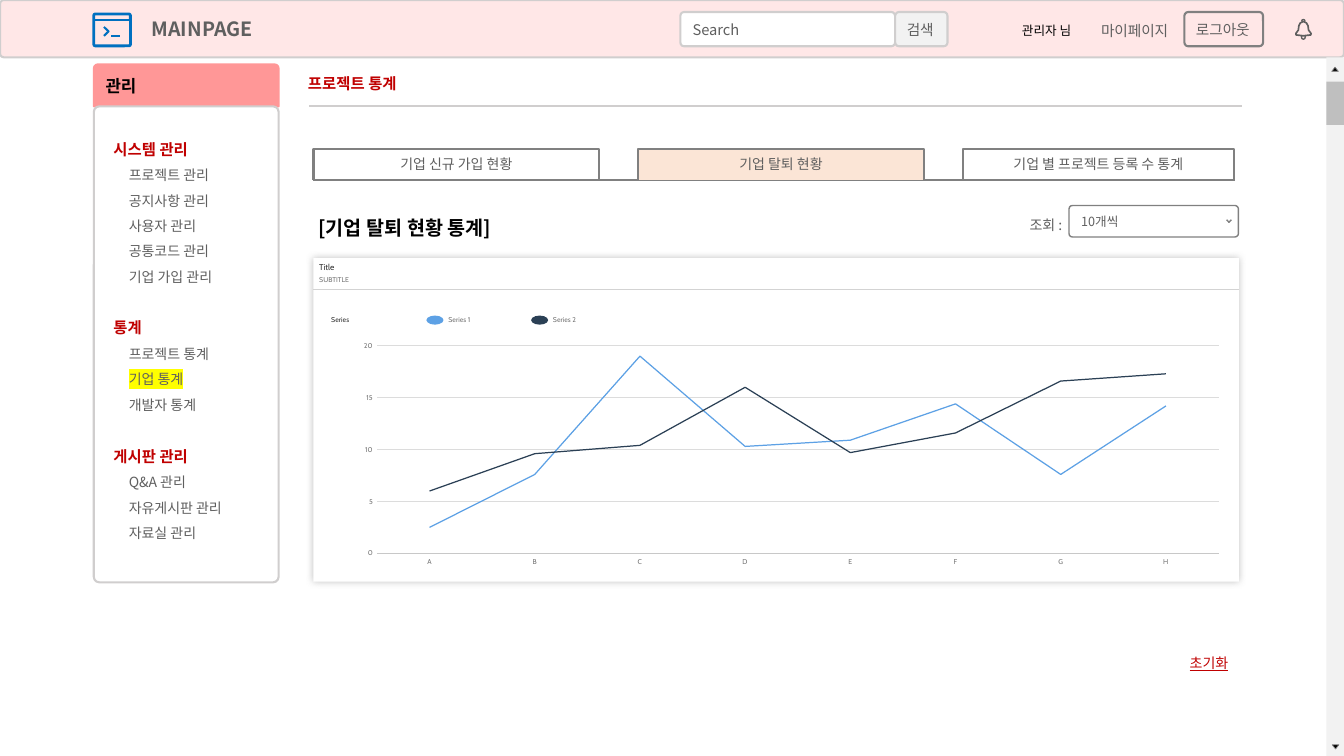
from lxml.etree import SubElement
from pptx import Presentation
from pptx.chart.data import CategoryChartData
from pptx.dml.color import RGBColor
from pptx.enum.chart import XL_CHART_TYPE, XL_MARKER_STYLE, XL_TICK_MARK
from pptx.enum.shapes import MSO_CONNECTOR, MSO_SHAPE
from pptx.enum.text import MSO_ANCHOR, MSO_AUTO_SIZE, PP_ALIGN
from pptx.oxml import parse_xml
from pptx.oxml.ns import nsdecls, qn
from pptx.util import Pt

KOREAN, LATIN = "Noto Sans CJK KR", "Cabin"
WHITE = RGBColor(0xFF, 0xFF, 0xFF)
BLACK = RGBColor(0x00, 0x00, 0x00)
RED = RGBColor(0xC0, 0x00, 0x00)
CORAL = RGBColor(0xFF, 0x97, 0x97)
BLUSH = RGBColor(0xFF, 0xE7, 0xE7)
PEACH = RGBColor(0xFB, 0xE5, 0xD6)
BORDER = RGBColor(0xD0, 0xCE, 0xCE)
PALE = RGBColor(0xF2, 0xF2, 0xF2)
THUMB = RGBColor(0xBF, 0xBF, 0xBF)
GRAY = RGBColor(0x80, 0x80, 0x80)
INK = RGBColor(0x5F, 0x5F, 0x5F)
ICON_BLUE = RGBColor(0x00, 0x70, 0xC0)
CHART_INK = RGBColor(0x33, 0x33, 0x33)
CHART_GRAY = RGBColor(0x77, 0x77, 0x77)
RULE = RGBColor(0xD3, 0xD3, 0xD3)
GRID = RGBColor(0xDC, 0xDC, 0xDC)
AXIS = RGBColor(0xC8, 0xC8, 0xC8)
SERIES_BLUE = RGBColor(0x5D, 0xA1, 0xE5)
SERIES_NAVY = RGBColor(0x2B, 0x40, 0x55)


def style(shape, fill, line, weight=1.5):
    """Set fill and outline; None leaves either one out."""
    shape.shadow.inherit = False
    if fill is None:
        shape.fill.background()
    else:
        shape.fill.solid()
        shape.fill.fore_color.rgb = fill
    if line is None:
        shape.line.fill.background()
    else:
        shape.line.color.rgb = line
        shape.line.width = Pt(weight)


def write(box, text, size, color, bold=False, font=KOREAN, inset=0, align=PP_ALIGN.LEFT):
    """Fill a shape with vertically centred text, one paragraph per line."""
    frame = box.text_frame
    frame.text = text
    frame.word_wrap = True
    frame.auto_size = MSO_AUTO_SIZE.NONE
    frame.vertical_anchor = MSO_ANCHOR.MIDDLE
    frame.margin_left = Pt(inset)
    frame.margin_right = frame.margin_top = frame.margin_bottom = 0
    for para in frame.paragraphs:
        para.alignment = align
        for span in para.runs:
            span.font.size = Pt(size)
            span.font.bold = bold
            span.font.color.rgb = color
            span.font.name = font
            SubElement(span.font._element, qn("a:ea"), typeface=font)


deck = Presentation()
deck.slide_width, deck.slide_height = Pt(960), Pt(540)
page = deck.slides.add_slide(deck.slide_layouts[1])
shapes = page.shapes
title, menu = page.placeholders

title.left, title.top, title.width, title.height = Pt(220), Pt(49), Pt(125), Pt(21)
write(title, "프로젝트 통계", 11, RED, True)

# Panels, buttons and scrollbar
ROUND, RECT = MSO_SHAPE.ROUNDED_RECTANGLE, MSO_SHAPE.RECTANGLE
panels = [
    (MSO_SHAPE.ROUND_2_SAME_RECTANGLE, 67, 46, 132, 30, 0.1, CORAL, CORAL, 1.5, "관리", 12, BLACK, True, 7.5),
    (ROUND, 67, 76, 132, 340, 0.03, WHITE, BORDER, 1.5, "", 0, INK, False, 0),
    (ROUND, 0, 0, 960, 41, 0.07, BLUSH, BORDER, 1.5, "MAINPAGE", 14, INK, True, 107.5),
    (ROUND, 486, 8.6, 153.4, 24.5, 0.11, WHITE, BORDER, 1.5, "Search", 10.5, INK, False, 8),
    (ROUND, 639.4, 8.6, 37.4, 24.5, 0.11, PALE, BORDER, 1.5, "검색", 10.5, INK, False, 7.5),
    (ROUND, 846, 8.6, 56.2, 24.5, 0.11, BLUSH, GRAY, 1.5, "로그아웃", 10.5, INK, False, 7.5),
    (ROUND, 763.6, 146.8, 121, 22.5, 0.11, WHITE, GRAY, 1, "10개씩", 9, INK, False, 8),
    (RECT, 947.5, 41, 12.5, 499, None, PALE, None, 0, "", 0, INK, False, 0),
    (RECT, 947.5, 58.3, 12.5, 31, None, THUMB, None, 0, "", 0, INK, False, 0),
    (ROUND, 67, 10, 26.2, 22.8, 0.05, None, ICON_BLUE, 2, "", 0, INK, False, 0),
    (RECT, 223.9, 184.3, 661, 231.1, None, WHITE, None, 0, "", 0, INK, False, 0),
]
for kind, left, top, width, height, radius, fill, line, weight, text, size, color, bold, inset in panels:
    panel = shapes.add_shape(kind, Pt(left), Pt(top), Pt(width), Pt(height))
    style(panel, fill, line, weight)
    if radius:
        panel.adjustments[0] = radius
    if text:
        write(panel, text, size, color, bold, inset=inset)
chart_card = panel
effects = chart_card._element.spPr.find(qn("a:effectLst"))
effects.append(parse_xml(
    f'<a:outerShdw {nsdecls("a")} blurRad="63500" dist="0" dir="0" algn="ctr" rotWithShape="0">'
    '<a:srgbClr val="808080"><a:alpha val="50000"/></a:srgbClr></a:outerShdw>'))

# Side menu
sections = {
    "시스템 관리": ["프로젝트 관리", "공지사항 관리", "사용자 관리", "공통코드 관리", "기업 가입 관리"],
    "통계": ["프로젝트 통계", "기업 통계", "개발자 통계"],
    "게시판 관리": ["Q&A 관리", "자유게시판 관리", "자료실 관리"],
}
menu.left, menu.top, menu.width, menu.height = Pt(81), Pt(95), Pt(116), Pt(310)
lines = [text for heading, items in sections.items() for text in (heading, *items)]
write(menu, "\n".join(lines), 10, INK)
menu.text_frame.vertical_anchor = MSO_ANCHOR.TOP
for number, para in enumerate(menu.text_frame.paragraphs):
    span = para.runs[0]
    is_heading = para.text in sections
    para.line_spacing = Pt(18.1)
    para.space_before = Pt(19 if is_heading and number else 0)
    properties = para._p.get_or_add_pPr()
    properties.set("marL", str(Pt(0 if is_heading else 11)))
    properties.set("indent", "0")
    SubElement(properties, qn("a:buNone"))
    if is_heading:
        span.font.size, span.font.bold, span.font.color.rgb = Pt(11), True, RED
    if para.text == "기업 통계":
        span.font._element.find(qn("a:solidFill")).addnext(parse_xml(
            f'<a:highlight {nsdecls("a")}><a:srgbClr val="FFFF00"/></a:highlight>'))
chart_card._element.addnext(menu._element)

# Line chart
chart_data = CategoryChartData()
chart_data.categories = list("ABCDEFGH")
chart_data.add_series("Series 1", (2.5, 7.6, 19, 10.3, 10.9, 14.4, 7.6, 14.2))
chart_data.add_series("Series 2", (6, 9.6, 10.4, 16, 9.7, 11.6, 16.6, 17.3))
chart = shapes.add_chart(XL_CHART_TYPE.LINE, Pt(224), Pt(207), Pt(661), Pt(208), chart_data).chart
chart.has_legend = chart.has_title = False
chart.font.name, chart.font.size, chart.font.color.rgb = LATIN, Pt(5), CHART_GRAY
for series, color in zip(chart.plots[0].series, (SERIES_BLUE, SERIES_NAVY)):
    series.smooth = False
    series.marker.style = XL_MARKER_STYLE.NONE
    series.format.line.color.rgb = color
    series.format.line.width = Pt(0.88)
chart.plots[0].vary_by_categories = False
scale = chart.value_axis
scale.minimum_scale, scale.maximum_scale, scale.major_unit = 0, 20, 5
scale.format.line.fill.background()
scale.major_gridlines.format.line.color.rgb = GRID
scale.major_gridlines.format.line.width = Pt(0.5)
chart.category_axis.format.line.color.rgb = AXIS
chart.category_axis.format.line.width = Pt(0.88)
for axis in (scale, chart.category_axis):
    axis.major_tick_mark = XL_TICK_MARK.NONE
plot_area = chart._chartSpace.chart.plotArea
for layout in plot_area.findall(qn("c:layout")):
    plot_area.remove(layout)
plot_area.insert(0, parse_xml(
    f'<c:layout {nsdecls("c")}><c:manualLayout><c:layoutTarget val="inner"/>'
    '<c:xMode val="edge"/><c:yMode val="edge"/>'
    f'<c:x val="{45.3 / 661:.4f}"/><c:y val="{40 / 208:.4f}"/>'
    f'<c:w val="{601.2 / 661:.4f}"/><c:h val="{148.3 / 208:.4f}"/></c:manualLayout></c:layout>'))
for left, color in ((304.6, SERIES_BLUE), (379.4, SERIES_NAVY)):
    style(shapes.add_shape(MSO_SHAPE.OVAL, Pt(left), Pt(225.4), Pt(12.2), Pt(6.5)), color, None)

# Free-standing text: left, vertical centre, width
labels = [
    (730, 21.8, 55, "관리자 님", 9, BLACK, False, KOREAN),
    (786.5, 21.6, 56, "마이페이지", 10.5, INK, False, KOREAN),
    (227.5, 162.9, 300, "[기업 탈퇴 현황 통계]", 14, BLACK, True, KOREAN),
    (735.5, 160.4, 28, "조회 :", 10, INK, False, KOREAN),
    (849.8, 473.6, 40, "초기화", 10, RED, False, KOREAN),
    (228, 190.9, 60, "Title", 6, CHART_INK, False, LATIN),
    (228, 199.6, 60, "SUBTITLE", 5, CHART_GRAY, False, LATIN),
    (236.6, 228.5, 40, "Series", 5, CHART_INK, False, LATIN),
    (320.3, 228.5, 50, "Series 1", 5, CHART_GRAY, False, LATIN),
    (395, 228.5, 50, "Series 2", 5, CHART_GRAY, False, LATIN),
]
for left, middle, width, text, size, color, bold, font in labels:
    label = shapes.add_textbox(Pt(left), Pt(middle - size), Pt(width), Pt(2 * size))
    write(label, text, size, color, bold, font)
    label.text_frame.paragraphs[0].runs[0].font.underline = text == "초기화" or None

# Straight lines
rules = [
    (221, 75.6, 887, 75.6, BORDER, 1.5),
    (223.9, 128.7, 882.5, 128.7, GRAY, 1.5),
    (223.9, 206.8, 884.9, 206.8, RULE, 0.5),
    (67, 14, 93.2, 14, ICON_BLUE, 1.5),
    (79.4, 26, 86, 26, ICON_BLUE, 1.5),
]
for x1, y1, x2, y2, color, weight in rules:
    rule = shapes.add_connector(MSO_CONNECTOR.STRAIGHT, Pt(x1), Pt(y1), Pt(x2), Pt(y2))
    rule.line.color.rgb = color
    rule.line.width = Pt(weight)
    SubElement(rule._element.spPr, qn("a:effectLst"))

# Tabs, arrows and bell
bell = [(925.6, 24), (927.4, 21.5), (927.8, 18.5), (928.8, 16.4), (931, 15.4),
        (933.2, 16.4), (934.3, 18.5), (934.7, 21.5), (936.5, 24), (936.3, 25), (931, 25.6), (925.8, 25)]
outlines = [
    (bell, True, None, INK, 1.2, ""),
    ([(929.8, 15.4), (930.1, 14.3), (931, 14), (931.9, 14.3), (932.2, 15.4)], False, None, INK, 1, ""),
    ([(929.6, 25.6), (929.9, 27.5), (931, 28.1), (932.1, 27.5), (932.4, 25.6)], False, None, INK, 1, ""),
    ([(74.3, 19.3), (77.6, 22.5), (74.3, 25.7)], False, None, ICON_BLUE, 1.5, ""),
    ([(951.3, 51), (953.6, 48), (956, 51)], True, BLACK, GRAY, 0.5, ""),
    ([(951.6, 532), (954, 535), (956.4, 532)], True, BLACK, GRAY, 0.5, ""),
    ([(876.2, 157), (877.9, 158.8), (879.6, 157)], False, None, GRAY, 1, ""),
]
tabs = [(223.9, 204, None, "기업 신규 가입 현황"), (455.8, 204, PEACH, "기업 탈퇴 현황"),
        (687.6, 193.7, None, "기업 별 프로젝트 등록 수 통계")]
for left, width, fill, text in tabs:
    corners = [(left, 128.5), (left, 106.2), (left + width, 106.2), (left + width, 128.5)]
    outlines.append((corners, False, fill, GRAY, 1.5, text))
for points, closed, fill, line, weight, text in outlines:
    (start_x, start_y), *rest = [(Pt(x), Pt(y)) for x, y in points]
    builder = shapes.build_freeform(start_x, start_y)
    builder.add_line_segments(rest, close=closed)
    outline = builder.convert_to_shape()
    style(outline, fill, line, weight)
    if text:
        write(outline, text, 10, INK, align=PP_ALIGN.CENTER)

deck.save("out.pptx")
